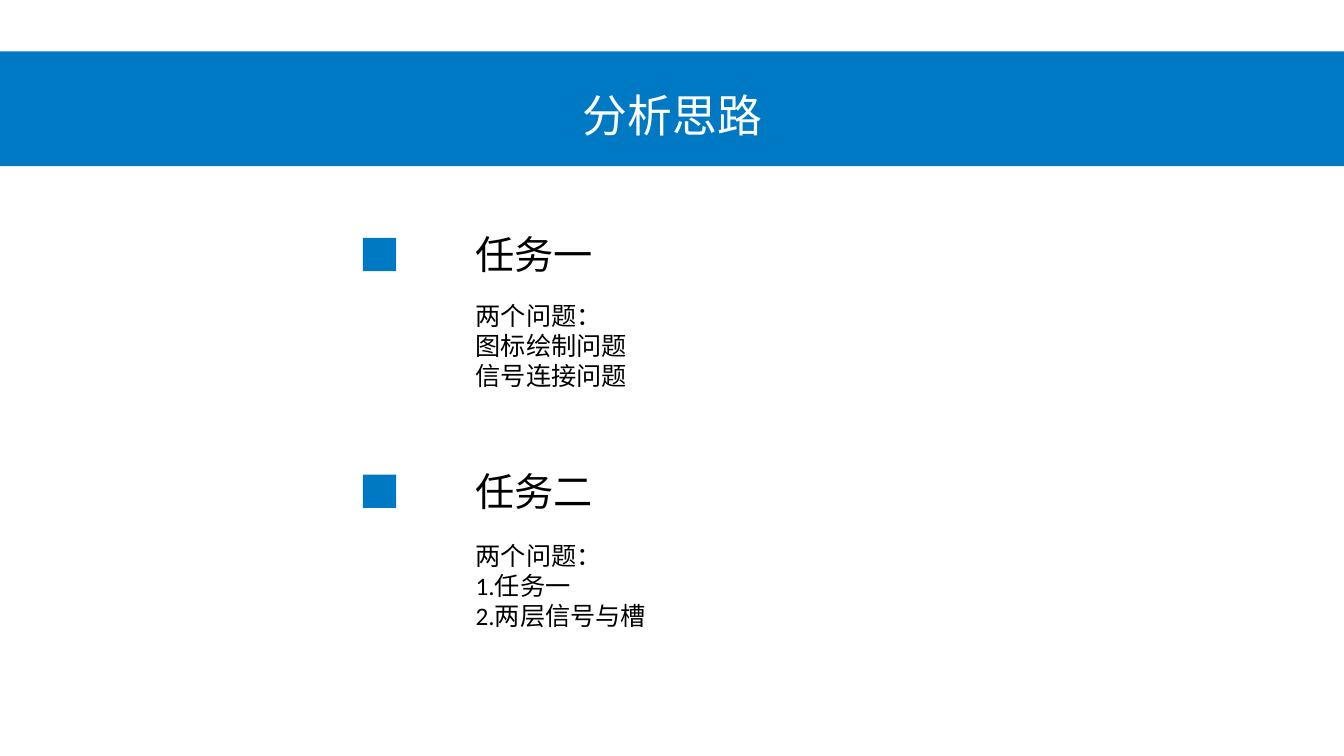
"""Build the slide that outlines the analysis of two tasks."""
from dataclasses import dataclass

from lxml.etree import SubElement
from pptx import Presentation
from pptx.dml.color import RGBColor
from pptx.enum.shapes import MSO_SHAPE as Shape
from pptx.enum.text import MSO_AUTO_SIZE as AutoSize, PP_ALIGN as Align
from pptx.oxml.ns import qn
from pptx.slide import Slide
from pptx.util import Inches, Pt


@dataclass(frozen=True)
class Theme:
    """Colours, fonts and type sizes."""
    blue: RGBColor = RGBColor(0x00, 0x79, 0xC4)
    white: RGBColor = RGBColor(0xFF, 0xFF, 0xFF)
    black: RGBColor = RGBColor(0x00, 0x00, 0x00)
    cjk_font: str = "Noto Sans CJK SC"
    body_font: str = "Calibri"
    title_size: int = 32
    heading_size: int = 28
    body_size: int = 18


@dataclass(frozen=True)
class Box:
    """Position and size in inches."""
    left: float
    top: float
    width: float
    height: float


@dataclass(frozen=True)
class Task:
    """A marked heading with its lines of detail."""
    heading: str
    lines: tuple[str, ...]
    top: float
    detail_top: float
    detail_width: float


THEME = Theme()
TEXT_LEFT = 4.62
TASKS = (
    Task("任务一", ("两个问题：", "图标绘制问题", "信号连接问题"), 2.24, 2.93, 4.08),
    Task("任务二", ("两个问题：", "1.任务一", "2.两层信号与槽"), 4.59, 5.31, 2.76),
)


def add_block(s: Slide, box: Box) -> None:
    """Draw a plain blue rectangle."""
    sp = s.shapes.add_shape(Shape.RECTANGLE, Inches(box.left), Inches(box.top),
                            Inches(box.width), Inches(box.height))
    sp.shadow.inherit = False
    sp.fill.solid()
    sp.fill.fore_color.rgb = THEME.blue
    sp.line.fill.background()


def add_text(s: Slide, box: Box, lines: tuple[str, ...], size: int, font: str,
             color: RGBColor, align: Align = Align.LEFT) -> None:
    """Write one paragraph per line in a wrapping text box."""
    sp = s.shapes.add_textbox(Inches(box.left), Inches(box.top),
                              Inches(box.width), Inches(box.height))
    tf = sp.text_frame
    tf.word_wrap = True
    tf.auto_size = AutoSize.SHAPE_TO_FIT_TEXT
    tf.text = "\n".join(lines)
    for p in tf.paragraphs:
        p.alignment = align
        p.font.size = Pt(size)
        p.font.color.rgb = color
        p.font.name = font
        east_asian = SubElement(p._p.pPr.find(qn("a:defRPr")), qn("a:ea"))
        east_asian.set("typeface", THEME.cjk_font)


def add_task(s: Slide, task: Task) -> None:
    """Draw a task's marker, heading and details."""
    add_block(s, Box(3.6, task.top + 0.12, 0.33, 0.33))
    add_text(s, Box(TEXT_LEFT, task.top, 3.63, 0.57), (task.heading,),
             THEME.heading_size, THEME.cjk_font, THEME.black)
    add_text(s, Box(TEXT_LEFT, task.detail_top, task.detail_width, 1.01),
             task.lines, THEME.body_size, THEME.body_font, THEME.black)


def main() -> None:
    """Assemble and save the presentation."""
    prs = Presentation()
    prs.slide_width, prs.slide_height = Inches(13.33), Inches(7.5)
    s = prs.slides.add_slide(prs.slide_layouts[6])
    add_block(s, Box(0, 0.51, 13.33, 1.14))
    add_text(s, Box(3.79, 0.82, 5.76, 0.64), ("分析思路",), THEME.title_size,
             THEME.cjk_font, THEME.white, Align.CENTER)
    for task in TASKS:
        add_task(s, task)
    prs.save("out.pptx")


if __name__ == "__main__":
    main()
